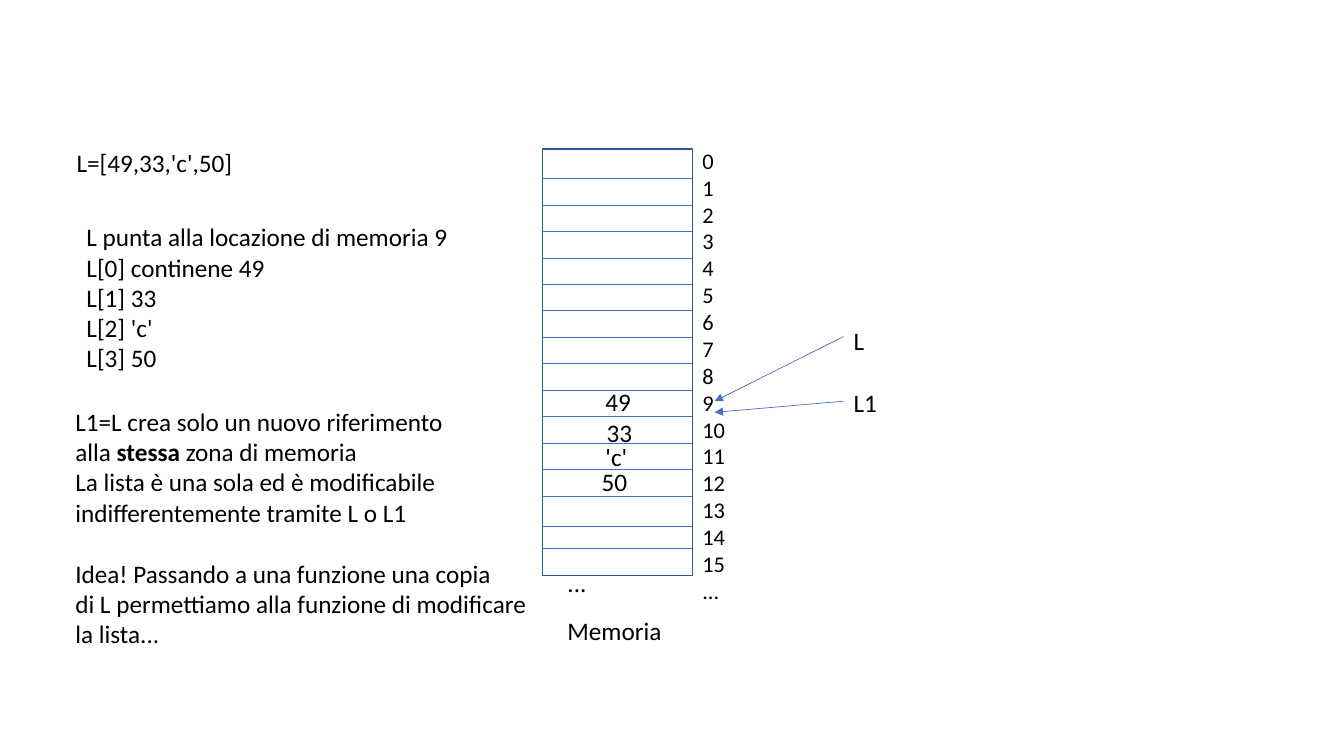
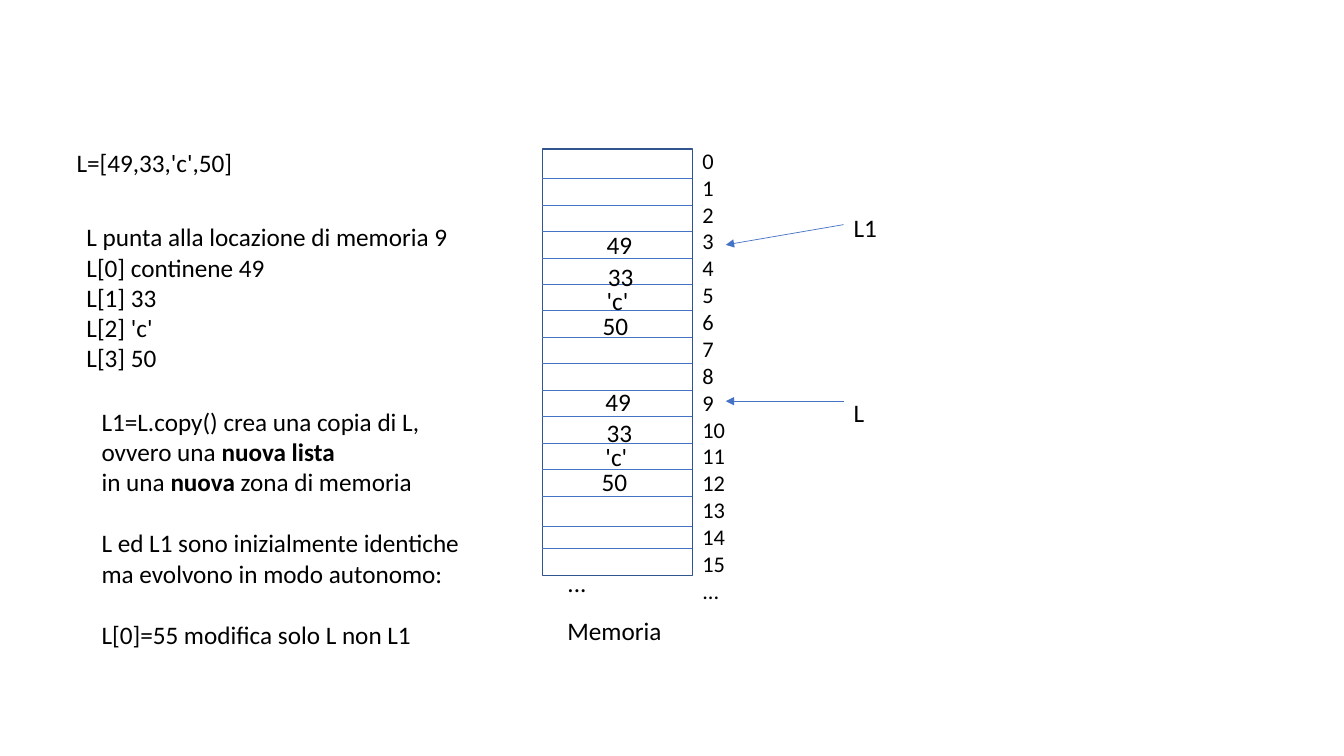
from lxml import etree
from pptx import Presentation
from pptx.dml.color import RGBColor
from pptx.enum.shapes import MSO_CONNECTOR, MSO_SHAPE
from pptx.oxml.ns import qn
from pptx.util import Cm, Pt

STRAIGHT = MSO_CONNECTOR.STRAIGHT
RECTANGLE = MSO_SHAPE.RECTANGLE

COLORS = {"text": "000000", "frame": "325491", "line": "4472C4"}
FONT = "Calibri"
TEXT_SIZE = 18
INDEX_SIZE = 16
LINE_HEIGHT = 22

MEMORY_LEFT, MEMORY_TOP = 13.67, 3.76
MEMORY_WIDTH, MEMORY_HEIGHT = 3.78, 10.74
MEMORY_RIGHT = MEMORY_LEFT + MEMORY_WIDTH
FIRST_ROW, LAST_EVEN_ROW, EVEN_STEPS = 4.5, 12.5, 12
LOWER_ROWS = [13.26, 13.82]
CELLS = 16
POINTER_LEFT = 21.26

LIST_VALUES = [("49", 0, 0), ("33", 0.03, 0.79), ("'c'", 0, 1.4), ("50", -0.1, 2.03)]

LIST_NOTES = [
    "L punta alla locazione di memoria 9",
    "L[0] continene 49",
    "L[1] 33",
    "L[2] 'c'",
    "L[3] 50",
]


def color(name):
    return RGBColor.from_string(COLORS[name])


def plain(lines):
    return [[(text, False)] for text in lines]


def add_text(page, left, top, width, height, paragraphs, size=TEXT_SIZE, gaps=(), wrap=False):
    box = page.shapes.add_textbox(Cm(left), Cm(top), Cm(width), Cm(height))
    frame = box.text_frame
    frame.word_wrap = wrap
    for number, spans in enumerate(paragraphs):
        para = frame.add_paragraph() if number else frame.paragraphs[0]
        if number in gaps:
            para.space_before = Pt(LINE_HEIGHT)
        for text, bold in spans:
            span = para.add_run()
            span.text = text
            span.font.name = FONT
            span.font.size = Pt(size)
            span.font.bold = bold
            span.font.color.rgb = color("text")


def add_label(page, left, top, width, text, wrap=False):
    add_text(page, left, top, width, 1.02, plain([text]), wrap=wrap)


def add_line(page, start, end, arrow=False):
    x1, y1, x2, y2 = (Cm(value) for value in (*start, *end))
    connector = page.shapes.add_connector(STRAIGHT, x1, y1, x2, y2)
    connector.line.color.rgb = color("line")
    connector.line.width = Pt(0.5)
    if arrow:
        outline = connector.line._get_or_add_ln()
        etree.SubElement(outline, qn("a:tailEnd"), type="triangle")
    etree.SubElement(connector._element.spPr, qn("a:effectLst"))


def add_memory(page):
    frame = page.shapes.add_shape(
        RECTANGLE, Cm(MEMORY_LEFT), Cm(MEMORY_TOP), Cm(MEMORY_WIDTH), Cm(MEMORY_HEIGHT)
    )
    frame.shadow.inherit = False
    frame.fill.background()
    frame.line.color.rgb = color("frame")
    frame.line.width = Pt(1)

    pitch = (LAST_EVEN_ROW - FIRST_ROW) / EVEN_STEPS
    even_rows = [FIRST_ROW + pitch * step for step in range(EVEN_STEPS + 1)]
    for row in even_rows + LOWER_ROWS:
        add_line(page, (MEMORY_LEFT, row), (MEMORY_RIGHT, row))

    indexes = [str(index) for index in range(CELLS)] + ["..."]
    add_text(page, MEMORY_RIGHT, 3.58, 1.09, 11.89, plain(indexes), INDEX_SIZE)
    add_label(page, 14.05, 14.17, 3.07, "...", wrap=True)
    add_label(page, 14.05, 15.37, 2.92, "Memoria")


def add_list_values(page, left, top):
    for text, shift, drop in LIST_VALUES:
        add_label(page, left + shift, top + drop, 1.17 if text.isdigit() else 1.07, text)


def add_pointer(page, name, top, start_y, end):
    add_label(page, POINTER_LEFT, top, 1.3, name, wrap=True)
    add_line(page, (POINTER_LEFT, start_y), end, arrow=True)


def add_memory_page(deck):
    page = deck.slides.add_slide(deck.slide_layouts[6])
    add_memory(page)
    add_label(page, 1.68, 3.58, 4.5, "L=[49,33,'c',50]")
    add_text(page, 1.93, 5.46, 9.73, 4.11, plain(LIST_NOTES))
    add_list_values(page, 15.01, 9.6)
    return page


def add_shared_list_page(deck):
    page = add_memory_page(deck)
    explanation = [
        [("L1=L crea solo un nuovo riferimento", False)],
        [("alla ", False), ("stessa", True), (" zona di memoria", False)],
        [("La lista è una sola ed è modificabile", False)],
        [("indifferentemente tramite L o L1", False)],
        [("Idea! Passando a una funzione una copia", False)],
        [("di L permettiamo alla funzione di modificare", False)],
        [("la lista...", False)],
    ]
    add_text(page, 1.65, 10.11, 12.04, 6.4, explanation, gaps=[4])
    add_pointer(page, "L", 8.08, 8.48, (18.01, 10.11))
    add_pointer(page, "L1", 9.63, 10.11, (18.01, 10.39))


def add_copied_list_page(deck):
    page = add_memory_page(deck)
    explanation = [
        [("L1=L.copy() crea una copia di L,", False)],
        [("ovvero una ", False), ("nuova lista", True)],
        [("in una ", False), ("nuova", True), (" zona di memoria", False)],
        [("L ed L1 sono inizialmente identiche", False)],
        [("ma evolvono in modo autonomo:", False)],
        [("L[0]=55 modifica solo L non L1", False)],
    ]
    add_text(page, 2.31, 10.11, 9.65, 6.4, explanation, gaps=[3, 5])
    add_list_values(page, 15.04, 5.66)
    add_pointer(page, "L1", 5.23, 5.66, (18.29, 6.17))
    add_pointer(page, "L", 9.88, 10.11, (18.29, 10.11))


def main():
    deck = Presentation()
    deck.slide_width = Cm(33.87)
    deck.slide_height = Cm(19.05)
    add_shared_list_page(deck)
    add_copied_list_page(deck)
    deck.save("out.pptx")


if __name__ == "__main__":
    main()
